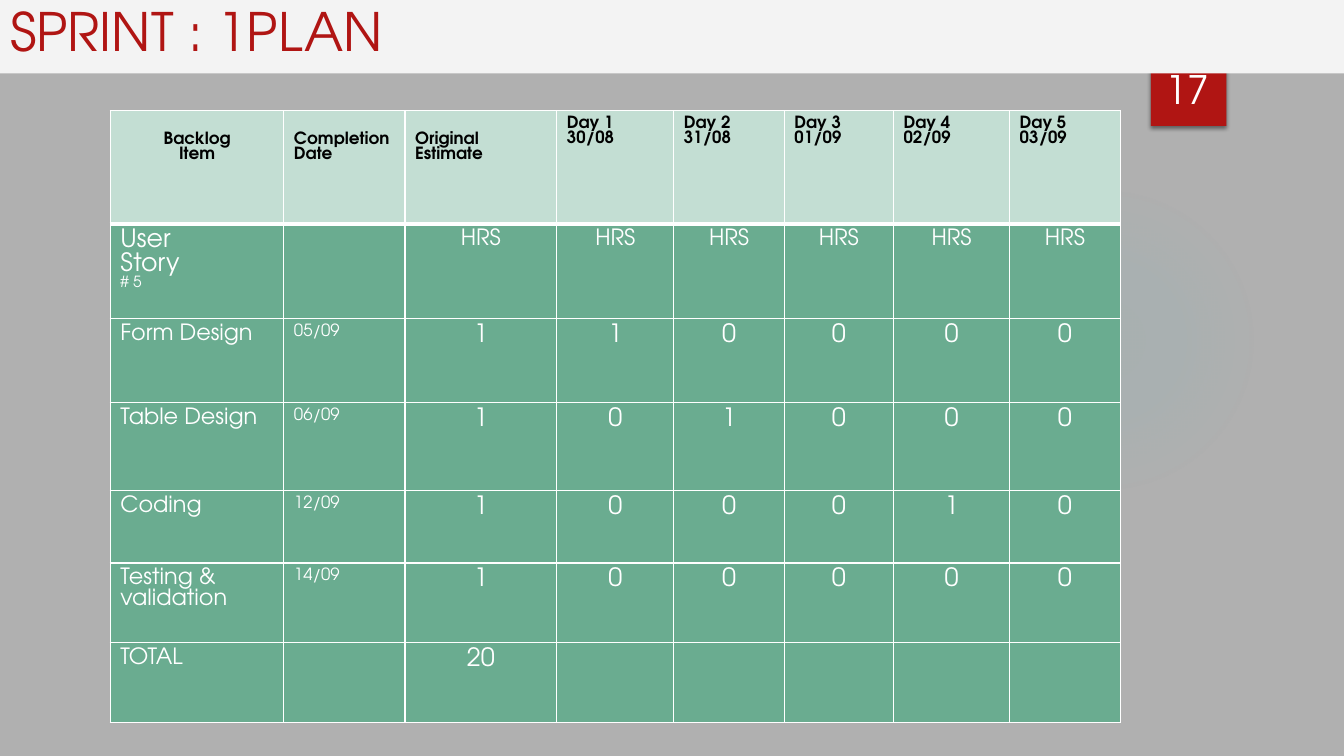
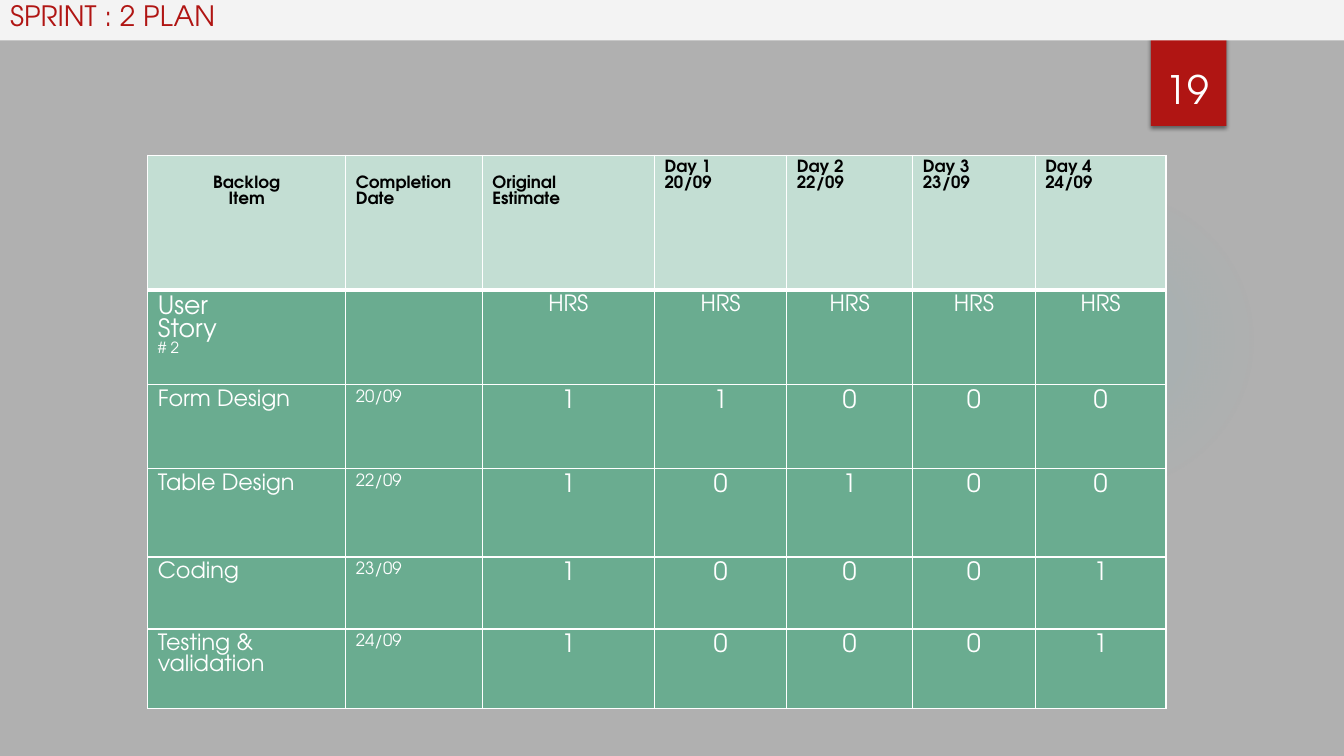
import pptx
import pptx.dml.color
import pptx.enum.shapes
import pptx.enum.text
import pptx.oxml
import pptx.oxml.ns
import pptx.util

Pt = pptx.util.Pt
RGBColor = pptx.dml.color.RGBColor
Align = pptx.enum.text.PP_ALIGN
Anchor = pptx.enum.text.MSO_ANCHOR
Shape = pptx.enum.shapes.MSO_SHAPE

FONT = "TeX Gyre Adventor"
GREY = RGBColor(0xB0, 0xB0, 0xB0)
PALE = RGBColor(0xF3, 0xF3, 0xF3)
RED = RGBColor(0xB0, 0x15, 0x13)
TEAL = RGBColor(0x50, 0xB9, 0xC1)
MINT = RGBColor(0xC3, 0xDE, 0xD3)
GREEN = RGBColor(0x6A, 0xAC, 0x90)
WHITE = RGBColor(0xFF, 0xFF, 0xFF)
BLACK = RGBColor(0, 0, 0)

WIDTH, HEIGHT = 960, 540
BODY_ROWS = [67.5, 60, 63, 51.5, 57, 57]


def xml(tag, attrs="", inner=""):
    """Build one DrawingML element."""
    ns = pptx.oxml.ns.nsdecls("a")
    return pptx.oxml.parse_xml(f"<a:{tag} {ns} {attrs}>{inner}</a:{tag}>")


def write(tf, text, size=16, color=WHITE, bold=False, align=Align.LEFT, spacing=1.0):
    """Write one paragraph per line of text and return the last run."""
    for i, line in enumerate(text.split("\n")):
        p = tf.add_paragraph() if i else tf.paragraphs[0]
        p.alignment = align
        p.line_spacing = spacing
        r = p.add_run()
        r.text = line
        r.font.name = FONT
        r.font.size = Pt(size)
        r.font.bold = bold
        r.font.color.rgb = color
    return r


class Deck:
    """Holds the shared style and the current slide."""

    def __init__(self):
        self.prs = pptx.Presentation()
        self.prs.slide_width = Pt(WIDTH)
        self.prs.slide_height = Pt(HEIGHT)
        fill = self.prs.slide_master.background.fill
        fill.solid()
        fill.fore_color.rgb = GREY
        self.slide = None

    def add_slide(self, title, title_size, title_height, number):
        self.slide = self.prs.slides.add_slide(self.prs.slide_layouts[5])
        self.glow()
        self.badge()
        self.title(title, title_size, title_height)
        self.number(number)

    def shape(self, kind, x, y, w, h):
        sp = self.slide.shapes.add_shape(kind, Pt(x), Pt(y), Pt(w), Pt(h))
        sp.shadow.inherit = False
        sp.line.fill.background()
        return sp

    def glow(self):
        sp = self.shape(Shape.OVAL, 677.5, 132, 222, 222)
        sp.fill.background()
        stops = "".join(
            f'<a:gs pos="{pos}000"><a:srgbClr val="{TEAL}">'
            f'<a:alpha val="{alpha}000"/></a:srgbClr></a:gs>'
            for pos, alpha in [(0, 7), (36, 6), (69, 0)])
        centre = '<a:fillToRect l="50000" t="50000" r="50000" b="50000"/>'
        grad = xml("gradFill", 'rotWithShape="1"',
                   f'<a:gsLst>{stops}</a:gsLst><a:path path="circle">{centre}</a:path>')
        spPr = sp._element.spPr
        spPr.replace(spPr.find(pptx.oxml.ns.qn("a:noFill")), grad)

    def badge(self):
        sp = self.shape(Shape.RECTANGLE, 822, 0, 54, 90)
        sp.fill.solid()
        sp.fill.fore_color.rgb = RED
        effects = sp._element.spPr.find(pptx.oxml.ns.qn("a:effectLst"))
        effects.append(xml(
            "outerShdw",
            f'blurRad="{Pt(3)}" dist="{Pt(2)}" dir="5400000" rotWithShape="0"',
            '<a:srgbClr val="000000"><a:alpha val="45000"/></a:srgbClr>'))

    def title(self, text, size, height):
        sp = self.slide.shapes.title
        sp.left, sp.top, sp.width, sp.height = Pt(0), Pt(-3.6), Pt(WIDTH), Pt(height)
        sp.fill.solid()
        sp.fill.fore_color.rgb = PALE
        tf = sp.text_frame
        tf.auto_size = pptx.enum.text.MSO_AUTO_SIZE.NONE
        tf.vertical_anchor = Anchor.MIDDLE
        write(tf, text, size=size, color=RED, spacing=0.9)
        # The title band lies over the badge
        self.slide.shapes._spTree.append(sp._element)

    def number(self, text):
        sp = self.slide.shapes.add_textbox(Pt(815), Pt(23), Pt(66.5), Pt(60.5))
        tf = sp.text_frame
        tf.word_wrap = True
        tf.vertical_anchor = Anchor.BOTTOM
        write(tf, text, size=28, align=Align.CENTER)

    def cell(self, cell, fill, top=1, bottom=1):
        cell.fill.solid()
        cell.fill.fore_color.rgb = fill
        tcPr = cell._tc.get_or_add_tcPr()
        line = f'<a:solidFill><a:srgbClr val="{WHITE}"/></a:solidFill>'
        borders = [("lnL", 1), ("lnR", 1), ("lnT", top), ("lnB", bottom)]
        for i, (tag, width) in enumerate(borders):
            tcPr.insert(i, xml(tag, f'w="{Pt(width)}"', line))

    def plan(self, x, y, cols, head_height, days, story, tasks):
        heights = [head_height] + BODY_ROWS[:len(tasks) + 1]
        table = self.slide.shapes.add_table(
            len(heights), len(cols), Pt(x), Pt(y), Pt(sum(cols)), Pt(sum(heights))).table
        table.first_row = table.horz_banding = False
        for col, width in zip(table.columns, cols):
            col.width = Pt(width)
        for row, height in zip(table.rows, heights):
            row.height = Pt(height)

        # Header row
        heads = ["Backlog\nItem", "Completion Date", "Original\nEstimate"]
        heads += [f"Day {i}\n{day}" for i, day in enumerate(days, 1)]
        for c, head in enumerate(heads):
            cell = table.cell(0, c)
            self.cell(cell, MINT, bottom=3)
            if c < 3:
                cell.margin_top = Pt(15)
            write(cell.text_frame, head, size=12, color=BLACK, bold=True,
                  align=Align.LEFT if c else Align.CENTER)

        # Story row
        story_row = [f"User\nStory\n# {story}", ""] + ["HRS"] * (len(days) + 1)
        self.body_row(table, 1, story_row, [18, 12, 16], top=3)
        table.cell(1, 0).text_frame.paragraphs[-1].runs[0].font.size = Pt(11)

        # Task rows
        for r, task in enumerate(tasks, 2):
            self.body_row(table, r, task, [16, 12, 18])

    def body_row(self, table, r, values, sizes, top=1):
        """Sizes are for the item, the date and the hours."""
        for c, value in enumerate(values):
            cell = table.cell(r, c)
            self.cell(cell, GREEN, top=top)
            if value != "":
                write(cell.text_frame, str(value), size=sizes[min(c, 2)],
                      align=Align.CENTER if c > 1 else Align.LEFT)


def main():
    deck = Deck()

    # Sprint 1
    deck.add_slide("SPRINT : 1PLAN", 37.8, 56, "17")
    deck.plan(
        78.8, 79.2, [124, 86.5, 108.5, 83.5, 79, 78, 83, 79], 81,
        ["30/08", "31/08", "01/09", "02/09", "03/09"], 5,
        [["Form Design", "05/09", 1, 1, 0, 0, 0, 0],
         ["Table Design", "06/09", 1, 0, 1, 0, 0, 0],
         ["Coding", "12/09", 1, 0, 0, 0, 1, 0],
         ["Testing & validation", "14/09", 1, 0, 0, 0, 0, 0],
         ["TOTAL", "", 20, "", "", "", "", ""]])

    # Sprint 2
    deck.add_slide("SPRINT : 2 PLAN", 20, 32.4, "19")
    deck.plan(
        105.5, 110.9, [141.5, 97.5, 123, 94.5, 90, 87.5, 93.5], 96.5,
        ["20/09", "22/09", "23/09", "24/09"], 2,
        [["Form Design", "20/09", 1, 1, 0, 0, 0],
         ["Table Design", "22/09", 1, 0, 1, 0, 0],
         ["Coding", "23/09", 1, 0, 0, 0, 1],
         ["Testing & validation", "24/09", 1, 0, 0, 0, 1]])

    deck.prs.save("out.pptx")


if __name__ == "__main__":
    main()
